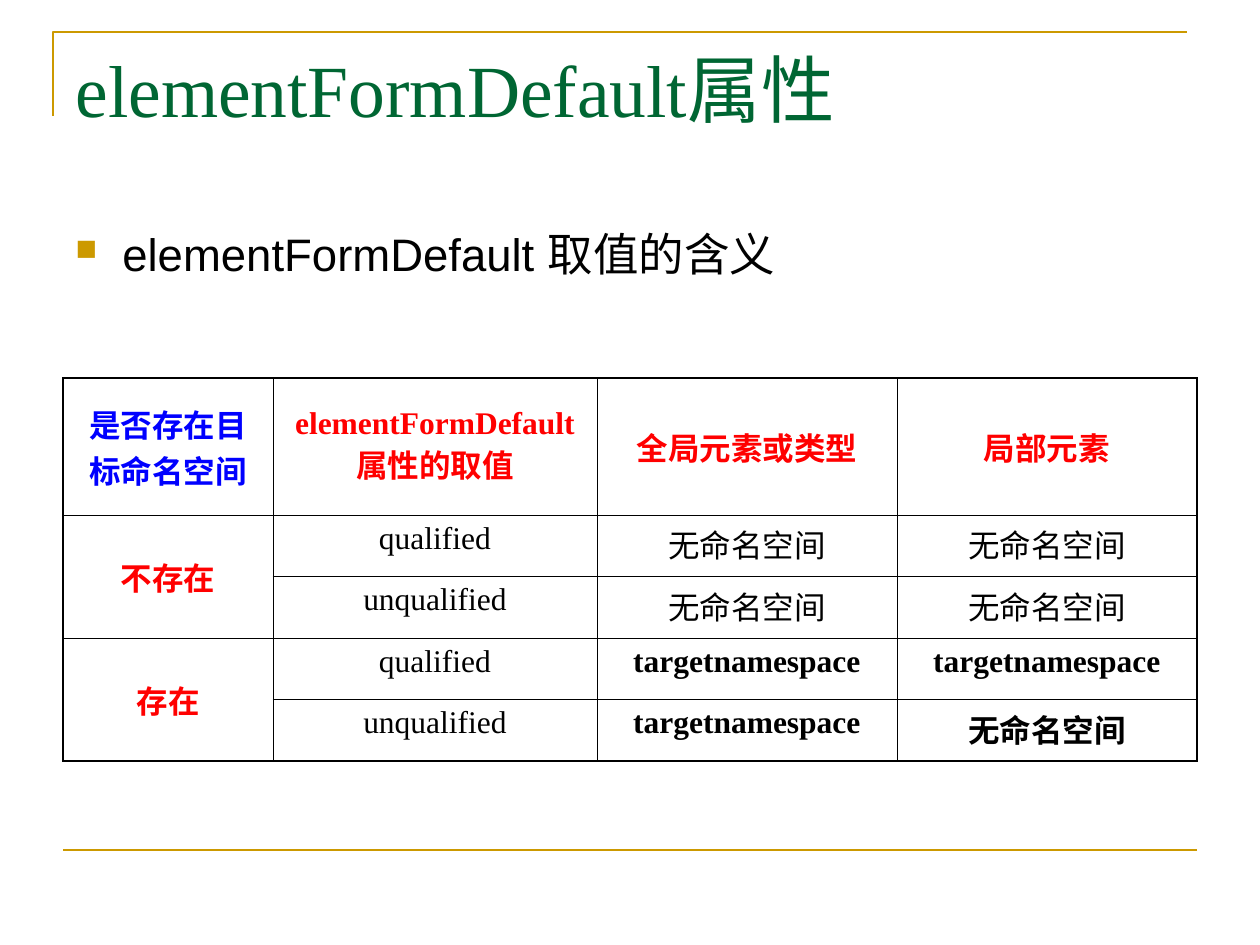
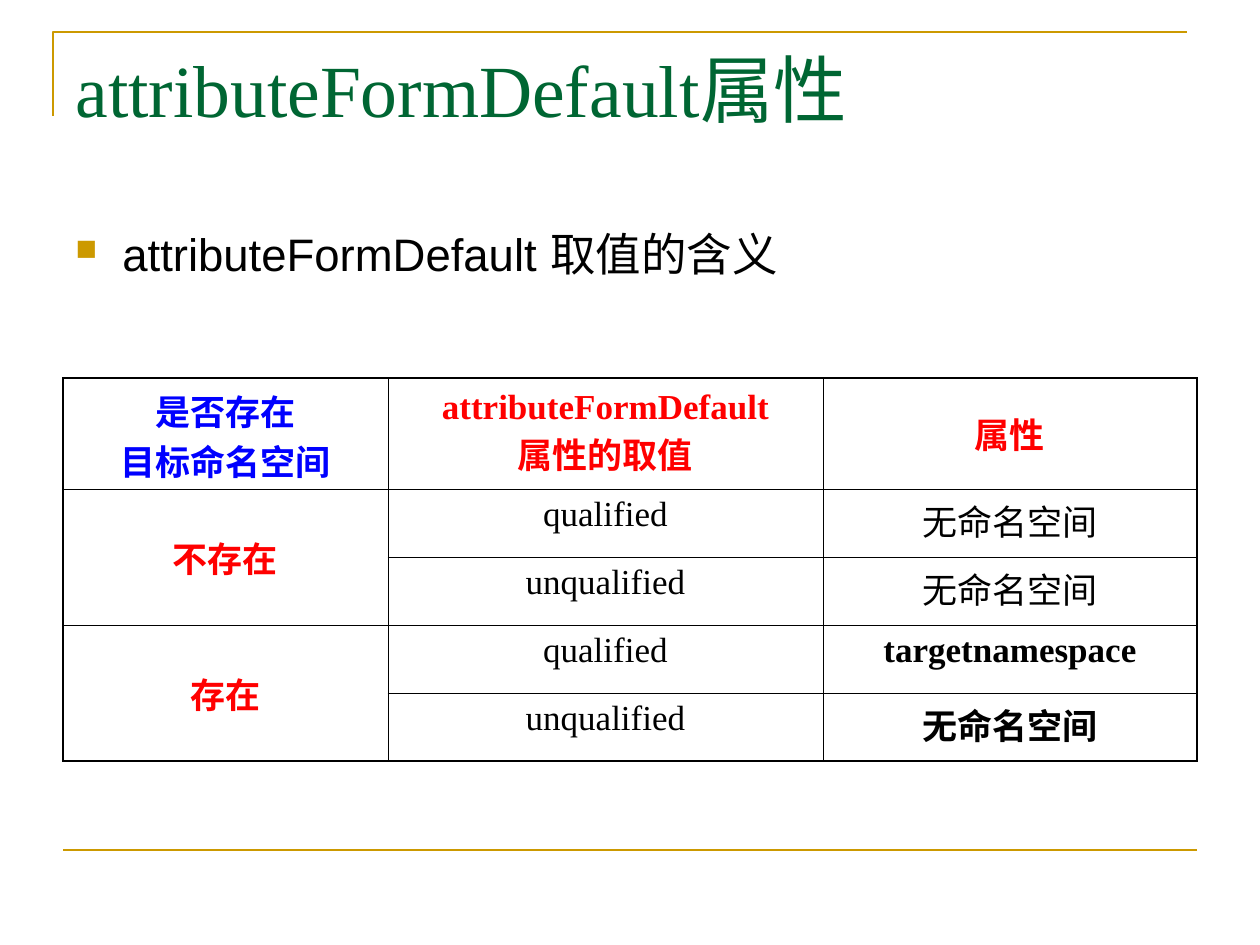
import pptx
import pptx.dml.color
import pptx.enum.shapes
import pptx.enum.text
import pptx.oxml
import pptx.oxml.ns
import pptx.util
from lxml import etree

RGBColor = pptx.dml.color.RGBColor
ALIGN = pptx.enum.text.PP_ALIGN
ANCHOR = pptx.enum.text.MSO_ANCHOR
qn = pptx.oxml.ns.qn

GOLD = RGBColor(0xCC, 0x99, 0x00)
GREEN = RGBColor(0x00, 0x66, 0x33)
BLUE = RGBColor(0x00, 0x00, 0xFF)
RED = RGBColor(0xFF, 0x00, 0x00)
BLACK = RGBColor(0x00, 0x00, 0x00)

SERIF, SANS = "Times New Roman", "Arial"
EMU_PER_PX = 914400 / 126
LEFT, WIDTH = 63, 1134
TABLE_TOP, TABLE_HEIGHT = 378, 383
OUTER, INNER = 0.96, 0.45


def px(n):
    return pptx.util.Emu(round(n * EMU_PER_PX))


def write(tf, text, font=SERIF, size=18, color=BLACK, bold=False, align=ALIGN.LEFT):
    """Fill a text frame, one paragraph per line of text."""
    tf.word_wrap = True
    for i, line in enumerate(text.split("\n")):
        p = tf.paragraphs[0] if i == 0 else tf.add_paragraph()
        p.alignment = align
        r = p.add_run()
        r.text = line
        r.font.name, r.font.size, r.font.bold = font, pptx.util.Pt(size), bold
        r.font.color.rgb = color


def add_bullet(p, char, color, percent, indent):
    pPr = p._p.get_or_add_pPr()
    pPr.set("marL", str(indent))
    pPr.set("indent", str(-indent))
    buClr = etree.SubElement(pPr, qn("a:buClr"))
    etree.SubElement(buClr, qn("a:srgbClr"), val=str(color))
    etree.SubElement(pPr, qn("a:buSzPct"), val=str(percent * 1000))
    etree.SubElement(pPr, qn("a:buChar"), char=char)


def set_borders(cell, **widths):
    """Draw the cell sides L, R, T and B in black, with widths in points."""
    tcPr = cell._tc.get_or_add_tcPr()
    for side, width in widths.items():
        ln = etree.SubElement(tcPr, qn(f"a:ln{side}"), w=str(pptx.util.Pt(width)))
        fill = etree.SubElement(ln, qn("a:solidFill"))
        etree.SubElement(fill, qn("a:srgbClr"), val=str(BLACK))


class Deck:
    def __init__(self):
        self.prs = pptx.Presentation()
        self.prs.slide_width, self.prs.slide_height = px(1260), px(945)
        self.slide = None

    def add_slide(self, title):
        self.slide = self.prs.slides.add_slide(self.prs.slide_layouts[5])
        self.corner([(53, 116), (53, 32), (1187, 32)])
        self.rule(850)
        self.title(title)

    def corner(self, points):
        builder = self.slide.shapes.build_freeform(*points[0], scale=EMU_PER_PX)
        builder.add_line_segments(points[1:], close=False)
        sp = builder.convert_to_shape()
        sp.shadow.inherit = False
        sp.fill.background()
        self.gold_line(sp)

    def rule(self, y):
        line = self.slide.shapes.add_connector(
            pptx.enum.shapes.MSO_CONNECTOR.STRAIGHT,
            px(LEFT), px(y), px(LEFT + WIDTH), px(y))
        etree.SubElement(line._element.spPr, qn("a:effectLst"))
        self.gold_line(line)

    def gold_line(self, shape):
        shape.line.color.rgb = GOLD
        shape.line.width = pptx.util.Pt(1.5)

    def title(self, text):
        sp = self.slide.shapes.title
        sp.left, sp.top, sp.width, sp.height = px(LEFT), px(38), px(WIDTH), px(157)
        tf = sp.text_frame
        tf.auto_size = pptx.enum.text.MSO_AUTO_SIZE.NONE
        tf.vertical_anchor = ANCHOR.TOP
        write(tf, text, size=42, color=GREEN)

    def bullet(self, text):
        sp = self.slide.shapes.add_textbox(px(LEFT), px(220), px(WIDTH), px(95))
        tf = sp.text_frame
        add_bullet(tf.paragraphs[0], "■", GOLD, 65, px(47))
        write(tf, text, font=SANS, size=26, align=ALIGN.JUSTIFY)

    def table(self, rows, widths, header_height, size):
        """Add a grid whose empty first-column cells join the cell above."""
        last_row, last_col = len(rows) - 1, len(widths) - 1
        table = self.slide.shapes.add_table(
            len(rows), len(widths), px(LEFT), px(TABLE_TOP),
            px(WIDTH), px(TABLE_HEIGHT)).table
        table.first_row = table.horz_banding = False
        for col, width in zip(table.columns, widths):
            col.width = px(width)
        for i, row in enumerate(table.rows):
            row.height = px((TABLE_HEIGHT - header_height) / last_row if i else header_height)
        for i in range(1, len(rows)):
            if not rows[i][0]:
                table.cell(i - 1, 0).merge(table.cell(i, 0))

        for i, row in enumerate(rows):
            for j, text in enumerate(row):
                cell = table.cell(i, j)
                bottom = i + cell.span_height - 1
                set_borders(cell,
                            L=INNER if j else OUTER,
                            R=OUTER if j == last_col else INNER,
                            T=INNER if i else OUTER,
                            B=OUTER if bottom == last_row else INNER)
                cell.fill.background()
                if not text:
                    continue
                heading = i == 0 or j == 0
                color = BLUE if i == j == 0 else RED if heading else BLACK
                # With a target namespace, the resulting names stand out in bold.
                bold = heading or (i > 2 and j > 1)
                cell.vertical_anchor = ANCHOR.MIDDLE if heading else ANCHOR.TOP
                write(cell.text_frame, text, size=size, color=color,
                      bold=bold, align=ALIGN.CENTER)


def main():
    none, target = "无命名空间", "targetnamespace"
    deck = Deck()

    deck.add_slide("elementFormDefault属性")
    deck.bullet("elementFormDefault 取值的含义")
    deck.table([
        ["是否存在目标命名空间", "elementFormDefault\n属性的取值", "全局元素或类型", "局部元素"],
        ["不存在", "qualified", none, none],
        ["", "unqualified", none, none],
        ["存在", "qualified", target, target],
        ["", "unqualified", target, none],
    ], widths=[210, 324, 300, 300], header_height=137, size=18)

    deck.add_slide("attributeFormDefault属性")
    deck.bullet("attributeFormDefault 取值的含义")
    deck.table([
        ["是否存在\n目标命名空间", "attributeFormDefault\n属性的取值", "属性"],
        ["不存在", "qualified", none],
        ["", "unqualified", none],
        ["存在", "qualified", target],
        ["", "unqualified", target and none],
    ], widths=[325, 435, 374], header_height=111, size=20)

    deck.prs.save("out.pptx")


if __name__ == "__main__":
    main()
